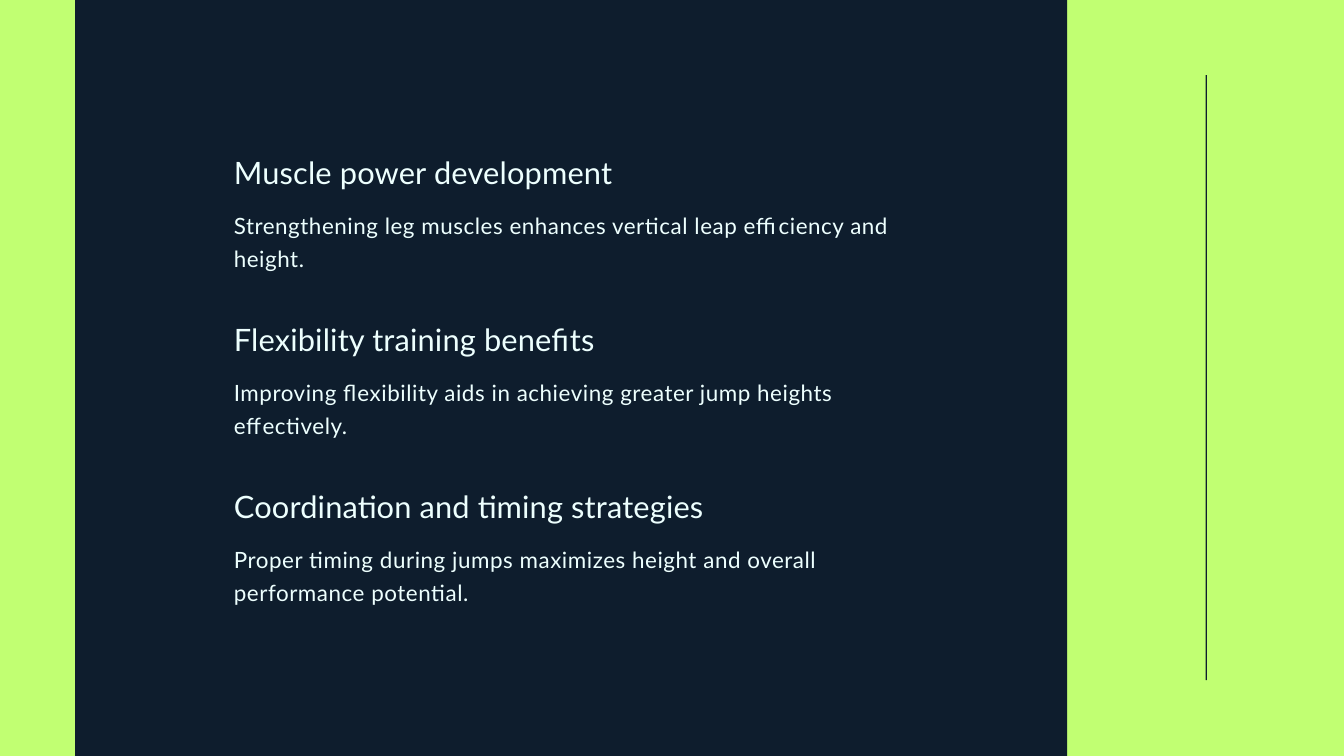
import pptx
import pptx.util
import pptx.dml.color
import pptx.enum.shapes
import pptx.enum.text

Inches = pptx.util.Inches
Pt = pptx.util.Pt
RGB = pptx.dml.color.RGBColor.from_string

COLORS = {"lime": "C1FF72", "navy": "0E1D2D", "text": "EDFFFE"}

prs = pptx.Presentation()
prs.slide_width = Inches(20)
prs.slide_height = Inches(11.25)
s = prs.slides.add_slide(prs.slide_layouts[6])

# Background
s.background.fill.solid()
s.background.fill.fore_color.rgb = RGB(COLORS["lime"])


def add_text(text, top, height, size, leading, spacing):
    """Add one paragraph in the text column; sizes in points."""
    box = s.shapes.add_textbox(Inches(3.48), Inches(top), Inches(10.05), Inches(height))
    tf = box.text_frame
    tf.word_wrap = True
    tf.auto_size = pptx.enum.text.MSO_AUTO_SIZE.SHAPE_TO_FIT_TEXT
    tf.margin_left = tf.margin_top = tf.margin_right = tf.margin_bottom = 0
    p = tf.paragraphs[0]
    p.line_spacing = Pt(leading)
    r = p.add_run()
    r.text = text
    r.font.name = "Lato"
    r.font.size = Pt(size)
    r.font.color.rgb = RGB(COLORS["text"])
    # Letter spacing is stored in hundredths of a point
    r._r.get_or_add_rPr().set("spc", str(round(spacing * 100)))


# Thin rule on the right, then the main panel
for left, top, width, height in [(17.94, 1.12, 0.02, 9), (1.12, 0, 14.76, 11.25)]:
    sp = s.shapes.add_shape(pptx.enum.shapes.MSO_SHAPE.RECTANGLE,
                            Inches(left), Inches(top), Inches(width), Inches(height))
    sp.shadow.inherit = False
    sp.fill.solid()
    sp.fill.fore_color.rgb = RGB(COLORS["navy"])
    sp.line.fill.background()

# Headings with their descriptions
topics = [
    ("Muscle power development",
     "Strengthening leg muscles enhances vertical leap efficiency and height."),
    ("Flexibility training benefits",
     "Improving flexibility aids in achieving greater jump heights effectively."),
    ("Coordination and timing strategies",
     "Proper timing during jumps maximizes height and overall performance potential."),
]
for i, (heading, detail) in enumerate(topics):
    top = 2.2 + i * 2.485
    add_text(heading, top, 0.61, size=33, leading=46.2, spacing=0.2)
    add_text(detail, top + 0.85, 0.97, size=24, leading=36, spacing=0.6)

prs.save("out.pptx")
